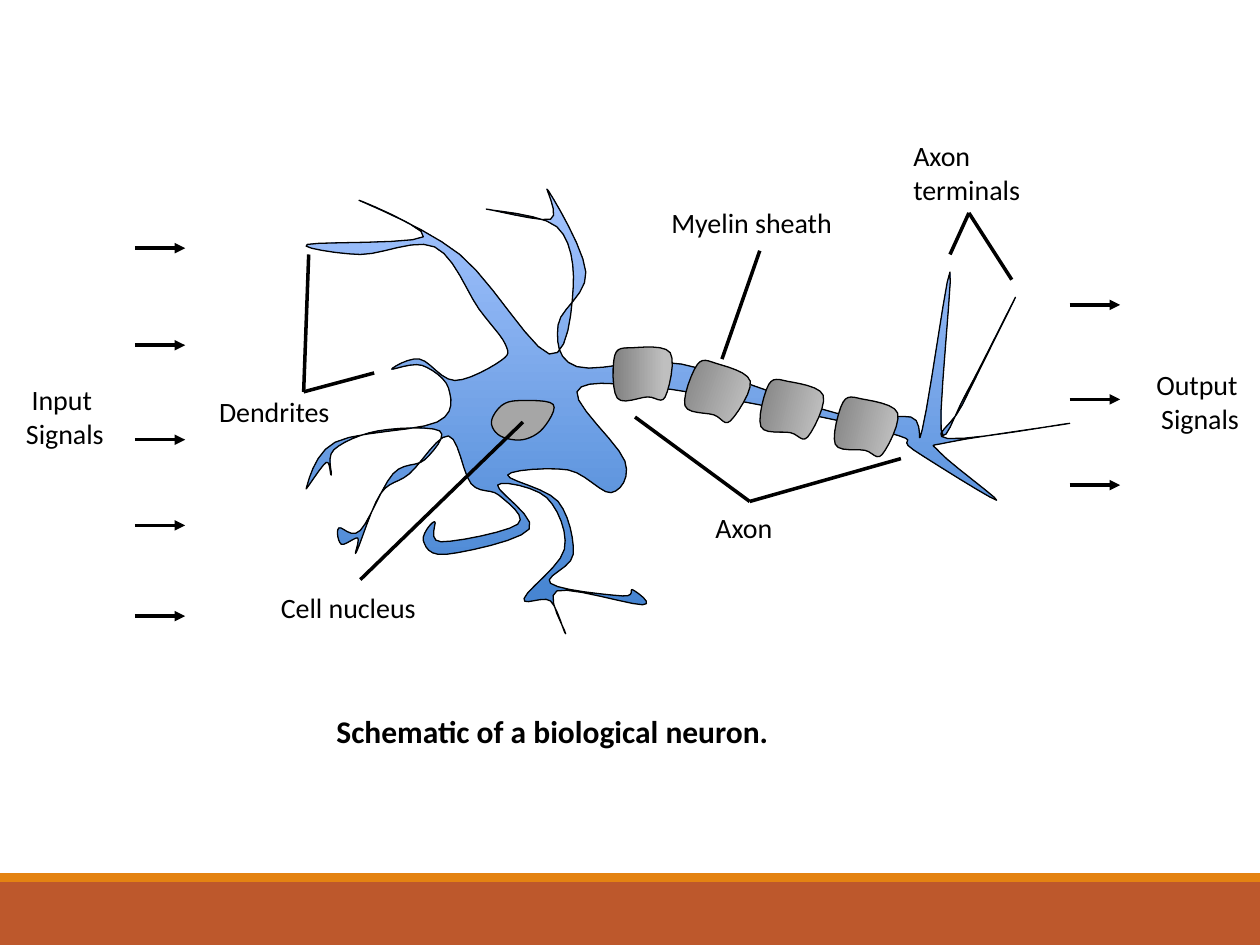
from dataclasses import dataclass
from typing import NamedTuple

from lxml import etree
from pptx import Presentation
from pptx.dml.color import RGBColor
from pptx.enum.shapes import MSO_CONNECTOR, MSO_SHAPE
from pptx.enum.text import MSO_ANCHOR, MSO_AUTO_SIZE, PP_ALIGN
from pptx.oxml.ns import qn
from pptx.util import Inches, Pt

RECT = MSO_SHAPE.RECTANGLE
STRAIGHT = MSO_CONNECTOR.STRAIGHT
LEFT, CENTER = PP_ALIGN.LEFT, PP_ALIGN.CENTER
TOP = MSO_ANCHOR.TOP
FIT, NO_FIT = MSO_AUTO_SIZE.SHAPE_TO_FIT_TEXT, MSO_AUTO_SIZE.NONE

Point = tuple[float, float]


@dataclass(frozen=True)
class Theme:
    font: str = "Calibri"
    label: int = 16
    caption: int = 18
    outline: float = 0.75
    pointer: float = 2
    ink: str = "000000"
    band: str = "BD582C"
    stripe: str = "E48312"
    body: tuple[str, str] = ("3F80CE", "A4C4FF")
    sheath: tuple[str, str] = ("808080", "BFBFBF")
    nucleus: str = "A6A6A6"


class Label(NamedTuple):
    text: str
    left: float
    top: float
    width: float = 2.45
    align: PP_ALIGN = LEFT


class Pointer(NamedTuple):
    apex: Point
    tips: tuple[Point, ...]


class Signals(NamedTuple):
    left: float
    rows: tuple[float, ...]


THEME = Theme()
ARROW = 0.4
LINE_HEIGHT, PADDING = 0.27, 0.1
SIDE_WIDTH = 1.78

BODY = [
    (3.8, 2.45), (4.01, 2.73), (3.98, 2.86), (3.61, 3.02), (3.33, 2.85), (3.11, 2.93),
    (3.35, 2.9), (3.56, 3.08), (3.47, 3.35), (2.66, 3.51), (2.43, 3.88), (2.59, 3.67),
    (2.63, 3.77), (2.65, 3.57), (3, 3.42), (3.49, 3.42), (3.37, 3.65), (3.12, 3.76),
    (2.86, 4.21), (2.69, 4.19), (2.71, 4.32), (2.84, 4.27), (2.83, 4.38), (3.02, 3.92),
    (3.25, 3.76), (3.56, 3.46), (3.74, 3.84), (3.96, 3.93), (4.11, 4.16), (3.5, 4.3),
    (3.45, 4.14), (3.36, 4.29), (3.54, 4.4), (4.2, 4.2), (3.95, 3.85), (4.34, 3.95),
    (4.48, 4.36), (4.16, 4.75), (4.37, 4.77), (4.49, 5.03), (4.42, 4.69), (5.1, 4.8),
    (5.02, 4.68), (4.94, 4.73), (4.37, 4.63), (4.55, 4.4), (4.43, 3.98), (4.03, 3.77),
    (4.51, 3.73), (4.85, 3.91), (4.96, 3.66), (4.58, 3.11), (5.16, 3.07), (6.37, 3.28),
    (7.14, 3.46), (7.25, 3.57), (7.91, 3.97), (7.46, 3.59), (7.53, 3.51), (8.49, 3.36),
    (7.52, 3.48), (7.64, 3.21), (8.06, 2.36), (7.67, 3.12), (7.47, 3.41), (7.54, 2.16),
    (7.32, 3.41), (7.23, 3.31), (6.64, 3.28), (5.41, 2.89), (4.58, 2.91), (4.43, 2.58),
    (4.65, 2.16), (4.35, 1.51), (4.37, 1.74), (3.86, 1.66), (4.42, 1.8), (4.55, 2.28),
    (4.36, 2.81), (3.65, 2.02), (2.85, 1.59), (3.36, 1.88), (2.44, 1.94), (2.86, 2.02),
    (3.45, 1.96),
]
NUCLEUS = [(4.12, 3.18), (3.98, 3.22), (3.9, 3.35), (3.97, 3.46),
           (4.15, 3.49), (4.31, 3.4), (4.39, 3.21)]
SHEATH = [(4.88, 2.82), (4.9, 3.16), (5.14, 3.15), (5.28, 3.15), (5.32, 2.8), (5.02, 2.76)]
SHEATH_STEP = (0.59, 0.14)
SHEATH_ROTATIONS = (0, 20, 13.9, 13.9)

POINTERS = [
    Pointer((7.69, 1.69), ((7.54, 2.02), (8.03, 2.22))),
    Pointer((6.03, 1.99), ((5.73, 2.85),)),
    Pointer((2.86, 4.6), ((4.15, 3.35),)),
    Pointer((2.41, 3.11), ((2.45, 2.02), (2.97, 2.96))),
    Pointer((5.95, 3.98), ((5.04, 3.31), (7.15, 3.64))),
]
SIGNALS = [Signals(1.07, (1.97, 2.74, 3.49, 4.17, 4.89)), Signals(8.49, (2.42, 3.17, 3.85))]
LABELS = [
    Label("Axon\nterminals", 7.15, 1.05),
    Label("Myelin sheath", 5.23, 1.58),
    Label("Cell nucleus", 2.13, 4.64),
    Label("Dendrites", 1.64, 3.08),
    Label("Axon", 5.58, 4),
    Label("Input\n Signals", -0.4, 2.99, SIDE_WIDTH, CENTER),
    Label("Output\n Signals", 8.61, 2.87, SIDE_WIDTH, CENTER),
]


def rgb(value: str) -> RGBColor:
    return RGBColor.from_string(value)


def smooth(pts: list[Point], steps: int = 6) -> list[Point]:
    """Sample the closed Catmull-Rom spline through pts."""
    out = []
    for i in range(len(pts)):
        knots = [pts[(i + k) % len(pts)] for k in range(-1, 3)]
        for t in (n / steps for n in range(steps)):
            out.append(tuple(
                b + ((c - a) * t + (2 * a - 5 * b + 4 * c - d) * t ** 2
                     + (3 * b - a - 3 * c + d) * t ** 3) / 2
                for a, b, c, d in zip(*knots)))
    return out


def add_outline(s, pts: list[Point]):
    first, *rest = [(Inches(x), Inches(y)) for x, y in smooth(pts)]
    builder = s.shapes.build_freeform(*first)
    builder.add_line_segments(rest, close=True)
    sp = builder.convert_to_shape()
    sp.shadow.inherit = False
    sp.line.color.rgb = rgb(THEME.ink)
    sp.line.width = Pt(THEME.outline)
    return sp


def fill_solid(sp, color: str) -> None:
    sp.fill.solid()
    sp.fill.fore_color.rgb = rgb(color)


def fill_gradient(sp, colors: tuple[str, str], angle: float, end: float = 1) -> None:
    sp.fill.gradient()
    sp.fill.gradient_angle = angle
    for stop, color, position in zip(sp.fill.gradient_stops, colors, (0, end)):
        stop.color.rgb = rgb(color)
        stop.position = position


def add_band(s, top: float, height: float, color: str) -> None:
    sp = s.shapes.add_shape(RECT, 0, Inches(top), Inches(10), Inches(height))
    sp.shadow.inherit = False
    fill_solid(sp, color)
    sp.line.fill.background()


def add_line(s, start: Point, end: Point, arrow: bool = False) -> None:
    cxn = s.shapes.add_connector(STRAIGHT, *(Inches(v) for v in start + end))
    cxn.line.color.rgb = rgb(THEME.ink)
    cxn.line.width = Pt(THEME.pointer)
    if arrow:
        ln = cxn._element.spPr.find(qn("a:ln"))
        etree.SubElement(ln, qn("a:tailEnd"), type="triangle")
    etree.SubElement(cxn._element.spPr, qn("a:effectLst"))


def write(sp, text: str, *, size: int = THEME.label, bold: bool = False,
          align: PP_ALIGN = LEFT, auto_size: MSO_AUTO_SIZE = FIT) -> None:
    tf = sp.text_frame
    tf.text = text
    tf.word_wrap = True
    tf.auto_size = auto_size
    tf.vertical_anchor = TOP
    for p in tf.paragraphs:
        p.alignment = align
        for r in p.runs:
            r.font.name = THEME.font
            r.font.size = Pt(size)
            r.font.bold = bold
            r.font.color.rgb = rgb(THEME.ink)


def add_label(s, label: Label) -> None:
    height = PADDING + LINE_HEIGHT * len(label.text.splitlines())
    box = s.shapes.add_textbox(Inches(label.left), Inches(label.top),
                               Inches(label.width), Inches(height))
    write(box, label.text, align=label.align)


def main() -> None:
    prs = Presentation()
    prs.slide_width, prs.slide_height = Inches(10), Inches(7.5)
    s = prs.slides.add_slide(prs.slide_layouts[5])
    add_band(s, 7, 0.5, THEME.band)
    add_band(s, 6.93, 0.07, THEME.stripe)

    fill_gradient(add_outline(s, BODY), THEME.body, 90)
    fill_solid(add_outline(s, NUCLEUS), THEME.nucleus)
    dx, dy = SHEATH_STEP
    for i, rotation in enumerate(SHEATH_ROTATIONS):
        sp = add_outline(s, [(x + i * dx, y + i * dy) for x, y in SHEATH])
        sp.rotation = rotation
        fill_gradient(sp, THEME.sheath, 0, 0.87)

    for pointer in POINTERS:
        for tip in pointer.tips:
            add_line(s, pointer.apex, tip)
    for group in SIGNALS:
        for y in group.rows:
            add_line(s, (group.left, y), (group.left + ARROW, y), arrow=True)
    for label in LABELS:
        add_label(s, label)

    title = s.shapes.title
    title.left, title.top, title.width, title.height = (Inches(v) for v in (2.57, 5.6, 5.74, 0.4))
    write(title, "Schematic of a biological neuron.", size=THEME.caption, bold=True, auto_size=NO_FIT)
    prs.save("out.pptx")


if __name__ == "__main__":
    main()
